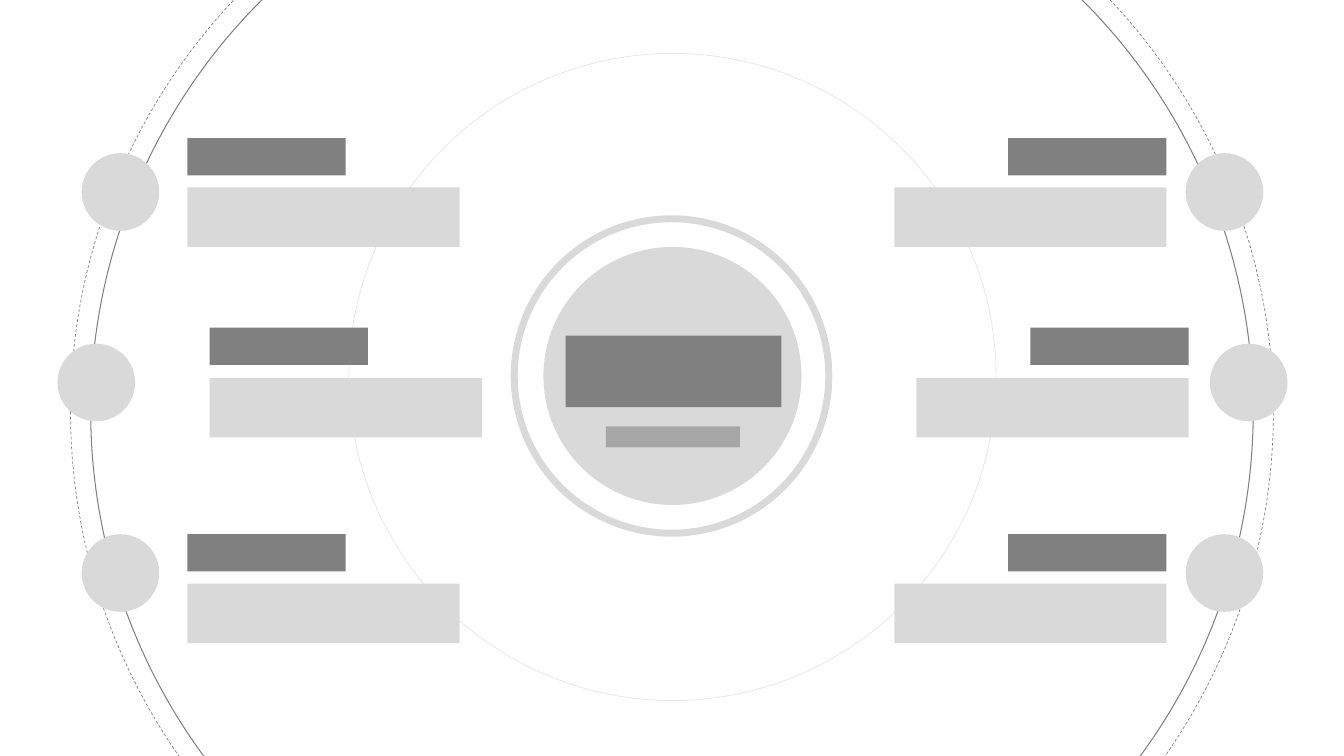
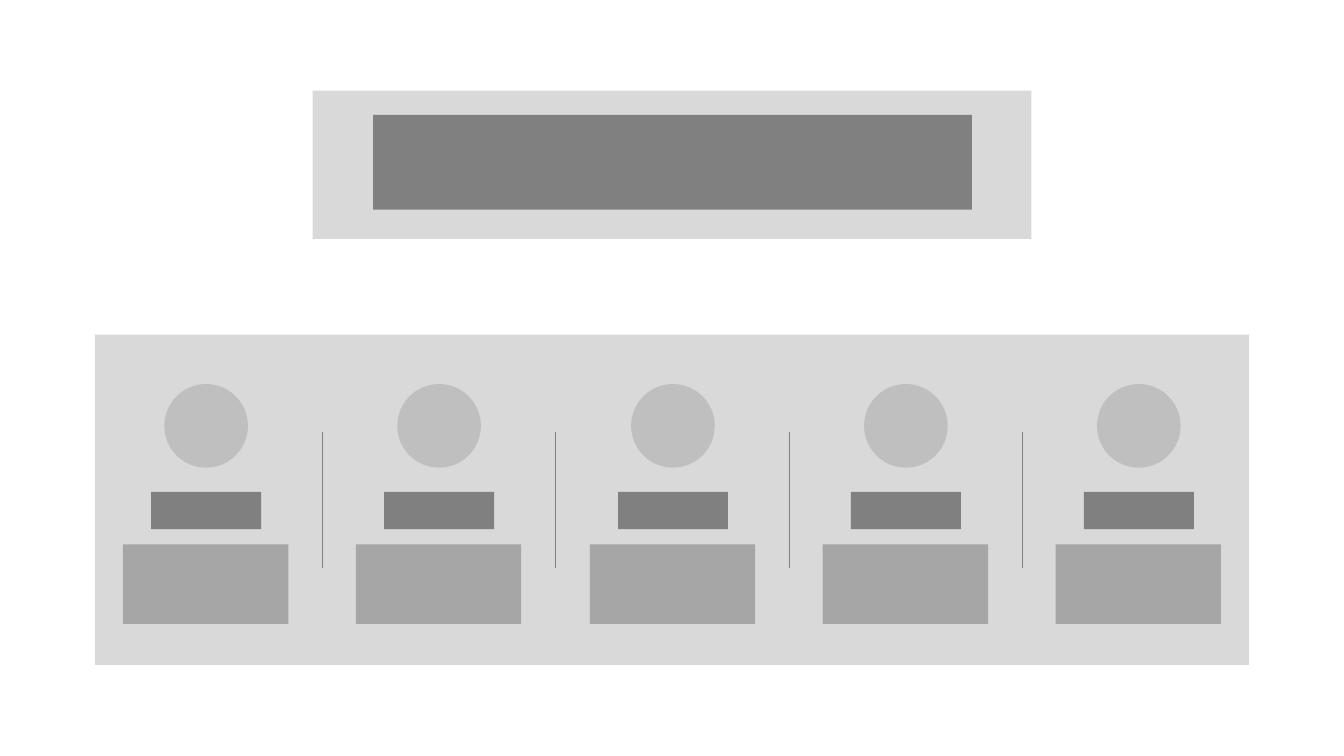
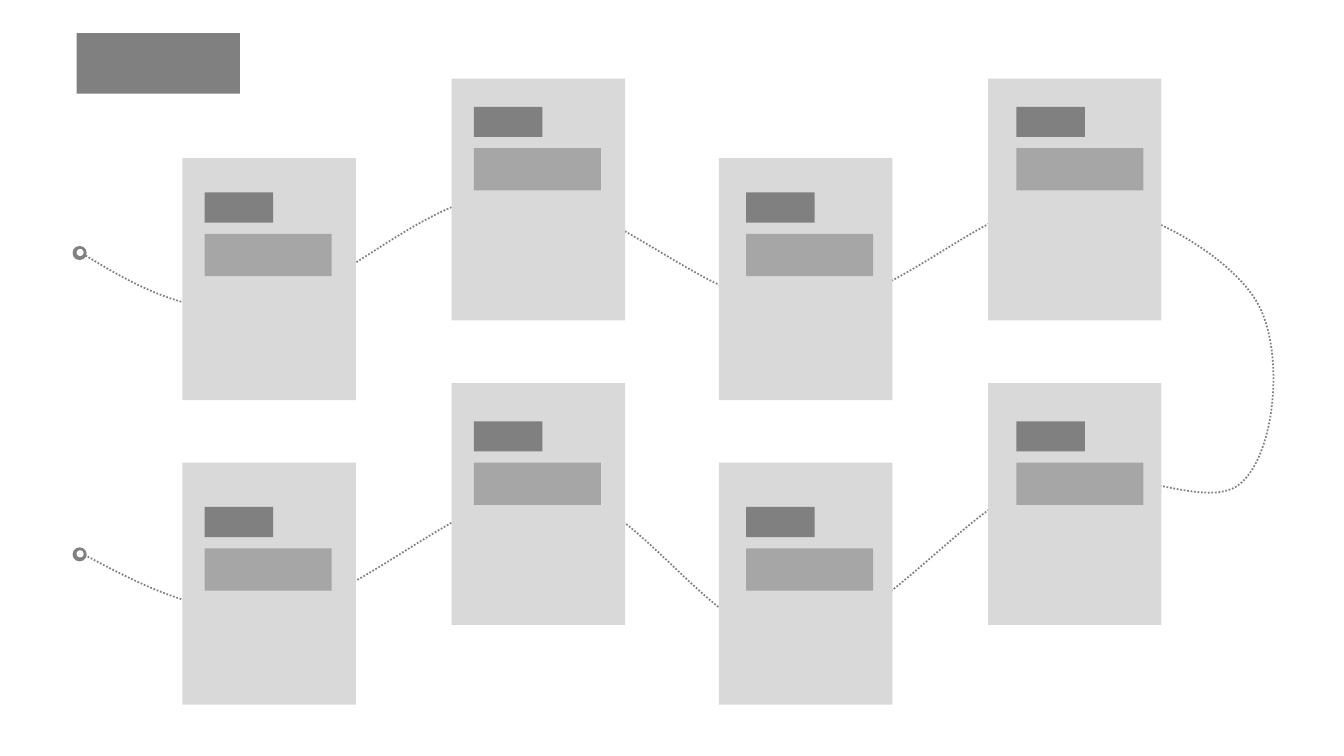
from dataclasses import dataclass
from typing import Optional

import lxml.etree
import pptx
import pptx.dml.color
import pptx.enum.dml
import pptx.enum.shapes
import pptx.oxml.ns
import pptx.util

RGBColor = pptx.dml.color.RGBColor
Shape = pptx.enum.shapes.MSO_SHAPE
Dash = pptx.enum.dml.MSO_LINE
qn = pptx.oxml.ns.qn

WHITE = RGBColor(0xFF, 0xFF, 0xFF)
PALE = RGBColor(0xD9, 0xD9, 0xD9)
SILVER = RGBColor(0xBF, 0xBF, 0xBF)
MIDDLE = RGBColor(0xA6, 0xA6, 0xA6)
DARK = RGBColor(0x80, 0x80, 0x80)

EMU_PER_PX = 9144


@dataclass(frozen=True)
class Stroke:
    color: RGBColor
    points: float
    dash: Optional[Dash] = None
    opacity: int = 100


@dataclass(frozen=True)
class Ring:
    left: int
    top: int
    size: int
    stroke: Stroke


@dataclass(frozen=True)
class Entry:
    text_left: int
    heading_top: int
    body_top: int
    dot_left: int
    dot_top: int


@dataclass(frozen=True)
class Card:
    left: int
    top: int
    label_left: int
    label_top: int


RINGS = (
    Ring(90, -168, 1153, Stroke(DARK, 0.75)),
    Ring(70, -188, 1193, Stroke(DARK, 0.5, Dash.DASH)),
    Ring(346, 53, 642, Stroke(DARK, 0.5, Dash.SOLID, 20)),
    Ring(510, 217, 312, Stroke(PALE, 5)),
)
ENTRIES = (
    Entry(186, 137, 186, 81, 152),
    Entry(208, 325, 375, 57, 341),
    Entry(186, 530, 579, 81, 530),
)
DOT_SIZE = 77
DOT_MIRROR = 1334
HEADING_WIDTH = 157
BODY_WIDTH = 270
TEXT_SPAN = 971

COLUMN_COUNT = 5
COLUMNS_SPAN = 925

CARDS = (
    Card(181, 157, 203, 191),
    Card(448, 78, 470, 106),
    Card(713, 157, 740, 191),
    Card(980, 78, 1008, 106),
)
CARD_ROW_PITCH = 302
LABEL_ROW_PITCH = 312

ROUTE_LEFT, ROUTE_TOP, ROUTE_WIDTH, ROUTE_HEIGHT = 79, 191, 1184, 444
ROUTE_START = (79, 250)
ROUTE_CURVES = (
    ((133, 283), (187, 315), (259, 305)),
    ((331, 295), (423, 190), (511, 191)),
    ((600, 191), (703, 305), (793, 306)),
    ((882, 308), (975, 201), (1050, 199)),
    ((1125, 197), (1215, 250), (1245, 297)),
    ((1275, 344), (1266, 450), (1230, 480)),
    ((1194, 510), (1103, 452), (1029, 478)),
    ((955, 504), (865, 633), (785, 634)),
    ((705, 636), (633, 491), (549, 486)),
    ((465, 481), (360, 594), (282, 604)),
    ((204, 615), (143, 582), (81, 549)),
)


def px(length: int) -> int:
    return length * EMU_PER_PX


def apply_stroke(line, stroke: Stroke) -> None:
    line.color.rgb = stroke.color
    line.width = pptx.util.Pt(stroke.points)
    if stroke.dash is not None:
        line.dash_style = stroke.dash
    if stroke.opacity < 100:
        color = line._ln.find(".//" + qn("a:srgbClr"))
        alpha = lxml.etree.SubElement(color, qn("a:alpha"))
        alpha.set("val", str(stroke.opacity * 1000))


def add_block(page, left: int, top: int, width: int, height: int,
              color: RGBColor, kind: Shape = Shape.RECTANGLE) -> None:
    shape = page.shapes.add_shape(kind, px(left), px(top), px(width), px(height))
    shape.shadow.inherit = False
    shape.fill.solid()
    shape.fill.fore_color.rgb = color
    shape.line.fill.background()


def add_disc(page, left: int, top: int, size: int, color: RGBColor) -> None:
    add_block(page, left, top, size, size, color, Shape.OVAL)


def add_ring(page, ring: Ring) -> None:
    shape = page.shapes.add_shape(
        Shape.OVAL, px(ring.left), px(ring.top), px(ring.size), px(ring.size))
    shape.shadow.inherit = False
    shape.fill.background()
    apply_stroke(shape.line, ring.stroke)


def add_divider(page, left: int, top: int, bottom: int) -> None:
    divider = page.shapes.add_connector(
        pptx.enum.shapes.MSO_CONNECTOR.STRAIGHT, px(left), px(top), px(left), px(bottom))
    apply_stroke(divider.line, Stroke(DARK, 0.5))
    lxml.etree.SubElement(divider._element.spPr, qn("a:effectLst"))


def add_route(page) -> None:
    builder = page.shapes.build_freeform(*ROUTE_START, scale=EMU_PER_PX)
    builder.add_line_segments([curve[-1] for curve in ROUTE_CURVES], close=False)
    route = builder.convert_to_shape()
    route.width, route.height = px(ROUTE_WIDTH), px(ROUTE_HEIGHT)
    outline = route._element.spPr.find(".//" + qn("a:path"))
    outline.set("w", str(ROUTE_WIDTH))
    outline.set("h", str(ROUTE_HEIGHT))
    for segment, curve in zip(outline.findall(qn("a:lnTo")), ROUTE_CURVES):
        bend = lxml.etree.Element(qn("a:cubicBezTo"))
        for x, y in curve:
            point = lxml.etree.SubElement(bend, qn("a:pt"))
            point.set("x", str(x - ROUTE_LEFT))
            point.set("y", str(y - ROUTE_TOP))
        outline.replace(segment, bend)
    route.shadow.inherit = False
    route.fill.background()
    apply_stroke(route.line, Stroke(DARK, 1.25, Dash.ROUND_DOT))


def add_entry(page, entry: Entry, mirrored: bool) -> None:
    dot_left, heading_left, body_left = entry.dot_left, entry.text_left, entry.text_left
    if mirrored:
        dot_left = DOT_MIRROR - DOT_SIZE - entry.dot_left
        heading_left += TEXT_SPAN - HEADING_WIDTH
        body_left += TEXT_SPAN - BODY_WIDTH
    add_disc(page, dot_left, entry.dot_top, DOT_SIZE, PALE)
    add_block(page, heading_left, entry.heading_top, HEADING_WIDTH, 37, DARK)
    add_block(page, body_left, entry.body_top, BODY_WIDTH, 59, PALE)


def draw_orbit(page) -> None:
    for ring in RINGS:
        add_ring(page, ring)
    add_disc(page, 539, 245, 256, PALE)
    for mirrored in (False, True):
        for entry in ENTRIES:
            add_entry(page, entry, mirrored)
    add_block(page, 561, 333, 214, 71, DARK)
    add_block(page, 601, 423, 133, 21, MIDDLE)


def draw_columns(page) -> None:
    add_block(page, 310, 90, 713, 147, PALE)
    add_block(page, 94, 332, 1145, 328, PALE)
    shifts = [int(COLUMNS_SPAN * column / (COLUMN_COUNT - 1) + 0.5)
              for column in range(COLUMN_COUNT)]
    for shift in shifts[:-1]:
        add_divider(page, 320 + shift, 429, 564)
    for shift in shifts:
        add_block(page, 150 + shift, 488, 109, 37, DARK)
        add_block(page, 122 + shift, 540, 164, 79, MIDDLE)
        add_disc(page, 163 + shift, 381, 83, SILVER)
    add_block(page, 370, 114, 594, 94, DARK)


def draw_journey(page) -> None:
    add_route(page)
    for row in range(2):
        for card in CARDS:
            label_top = card.label_top + row * LABEL_ROW_PITCH
            add_block(page, card.left, card.top + row * CARD_ROW_PITCH, 172, 240, PALE)
            add_block(page, card.label_left, label_top, 68, 30, DARK)
            add_block(page, card.label_left, label_top + 41, 126, 42, MIDDLE)
    for marker_top in (244, 543):
        add_disc(page, 72, marker_top, 14, DARK)
        add_disc(page, 76, marker_top + 3, 7, WHITE)
    add_block(page, 76, 33, 162, 60, DARK)


def main() -> None:
    deck = pptx.Presentation()
    deck.slide_width = px(1333)
    deck.slide_height = px(750)
    blank = deck.slide_layouts.get_by_name("Blank")
    for draw in (draw_orbit, draw_columns, draw_journey):
        draw(deck.slides.add_slide(blank))
    deck.save("out.pptx")


if __name__ == "__main__":
    main()
